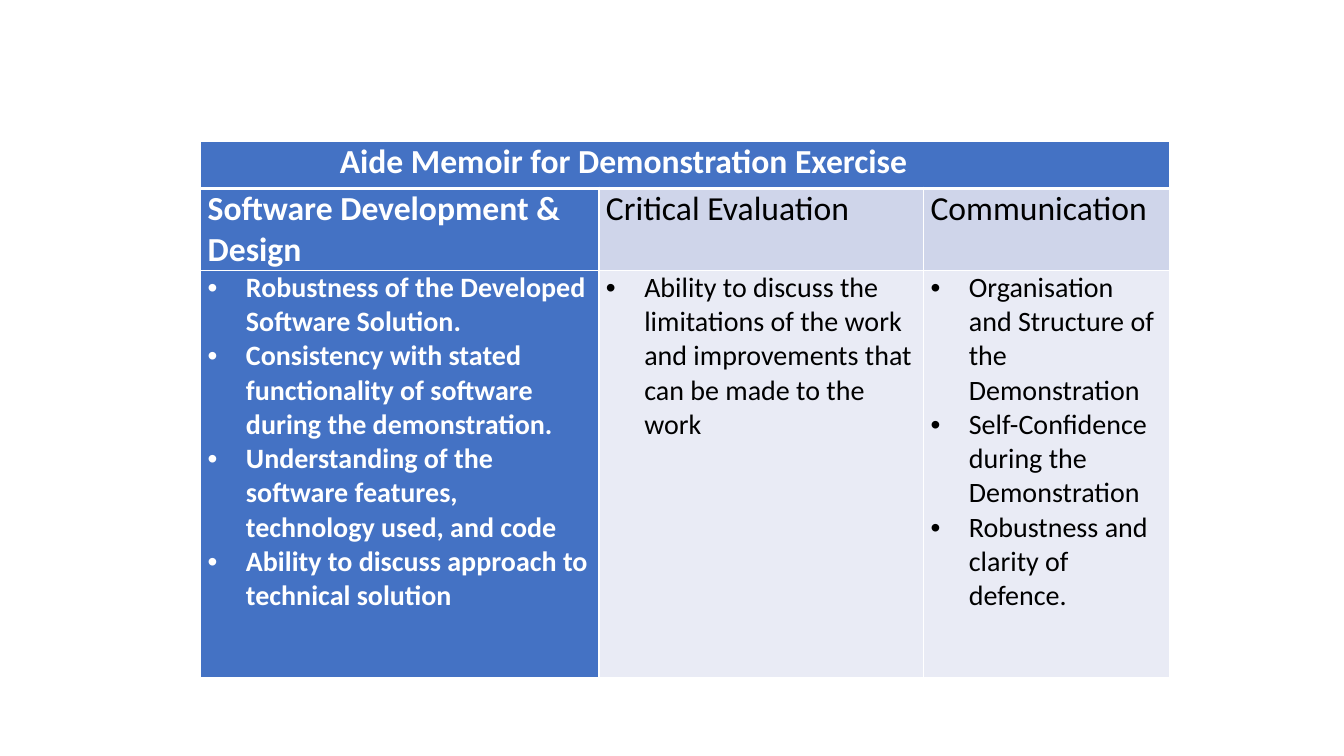
from dataclasses import dataclass

import pptx
import pptx.dml.color
import pptx.enum.text
import pptx.oxml
import pptx.oxml.ns
import pptx.table
import pptx.util
from lxml import etree

Inches = pptx.util.Inches
Pt = pptx.util.Pt


@dataclass(frozen=True)
class Theme:
    font: str = "Calibri"
    heading_size: int = 24
    body_size: int = 20
    accent: str = "4472C4"
    heading_band: str = "CFD5EA"
    body_band: str = "E9EBF5"
    light: str = "FFFFFF"
    dark: str = "000000"
    rule: float = 1
    title_rule: float = 3


@dataclass(frozen=True)
class Criterion:
    heading: str
    points: tuple[str, ...]
    width: float
    emphasised: bool = False


THEME = Theme()
TITLE = "Aide Memoir for Demonstration Exercise"
TABLE_LEFT, TABLE_TOP = 1.99, 1.4
ROW_HEIGHTS = (0.47, 0.8, 4.04)
CELL_MARGIN = 0.07
TITLE_RIGHT_MARGIN = 1.29
BULLET_INDENT = 0.38

CRITERIA = (
    Criterion(
        "Software Development & Design",
        (
            "Robustness of the Developed Software Solution.",
            "Consistency with stated functionality of software during the demonstration.",
            "Understanding of the software features, technology used, and code",
            "Ability to discuss approach to technical solution",
        ),
        3.95,
        emphasised=True,
    ),
    Criterion(
        "Critical Evaluation",
        ("Ability to discuss the limitations of the work and improvements "
         "that can be made to the work",),
        3.22,
    ),
    Criterion(
        "Communication",
        (
            "Organisation and Structure of the Demonstration",
            "Self-Confidence during the Demonstration",
            "Robustness and clarity of defence.",
        ),
        2.44,
    ),
)


def set_borders(cell: pptx.table._Cell, top: float, bottom: float) -> None:
    """Rule all four sides; call before filling, since lines precede the fill."""
    properties = cell._tc.get_or_add_tcPr()
    widths = {"lnL": THEME.rule, "lnR": THEME.rule, "lnT": top, "lnB": bottom}
    for side, width in widths.items():
        line = etree.SubElement(properties, pptx.oxml.ns.qn(f"a:{side}"), w=str(Pt(width)))
        fill = etree.SubElement(line, pptx.oxml.ns.qn("a:solidFill"))
        etree.SubElement(fill, pptx.oxml.ns.qn("a:srgbClr"), val=THEME.light)


def add_bullet(para) -> None:
    properties = para._p.get_or_add_pPr()
    properties.set("marL", str(Inches(BULLET_INDENT)))
    properties.set("indent", str(-Inches(BULLET_INDENT)))
    etree.SubElement(properties, pptx.oxml.ns.qn("a:buFont"), typeface="Arial")
    etree.SubElement(properties, pptx.oxml.ns.qn("a:buChar"), char="•")


def write_cell(
    cell: pptx.table._Cell,
    lines: tuple[str, ...],
    *,
    size: int,
    fill: str,
    emphasised: bool,
    bulleted: bool = False,
    centred: bool = False,
    right_margin: float = CELL_MARGIN,
) -> None:
    cell.margin_left, cell.margin_right = Inches(CELL_MARGIN), Inches(right_margin)
    cell.margin_top = cell.margin_bottom = 0
    cell.fill.solid()
    cell.fill.fore_color.rgb = pptx.dml.color.RGBColor.from_string(fill)
    colour = THEME.light if emphasised else THEME.dark
    for index, text in enumerate(lines):
        para = cell.text_frame.add_paragraph() if index else cell.text_frame.paragraphs[0]
        if centred:
            para.alignment = pptx.enum.text.PP_ALIGN.CENTER
        if bulleted:
            add_bullet(para)
        span = para.add_run()
        span.text = text
        span.font.name = THEME.font
        span.font.size = Pt(size)
        span.font.bold = emphasised
        span.font.color.rgb = pptx.dml.color.RGBColor.from_string(colour)


def add_criteria_table(page) -> None:
    frame = page.shapes.add_table(
        len(ROW_HEIGHTS), len(CRITERIA), Inches(TABLE_LEFT), Inches(TABLE_TOP),
        Inches(sum(item.width for item in CRITERIA)), Inches(sum(ROW_HEIGHTS)),
    )
    table = frame.table
    for row, height in zip(table.rows, ROW_HEIGHTS):
        row.height = Inches(height)
    for row_index in range(len(ROW_HEIGHTS)):
        for column_index in range(len(CRITERIA)):
            set_borders(
                table.cell(row_index, column_index),
                top=THEME.title_rule if row_index == 1 else THEME.rule,
                bottom=THEME.title_rule if row_index == 0 else THEME.rule,
            )

    title = table.cell(0, 0)
    title.merge(table.cell(0, len(CRITERIA) - 1))
    write_cell(title, (TITLE,), size=THEME.heading_size, fill=THEME.accent,
               emphasised=True, centred=True, right_margin=TITLE_RIGHT_MARGIN)

    for index, item in enumerate(CRITERIA):
        table.columns[index].width = Inches(item.width)
        write_cell(table.cell(1, index), (item.heading,), size=THEME.heading_size,
                   fill=THEME.accent if item.emphasised else THEME.heading_band,
                   emphasised=item.emphasised)
        write_cell(table.cell(2, index), item.points, size=THEME.body_size,
                   fill=THEME.accent if item.emphasised else THEME.body_band,
                   emphasised=item.emphasised, bulleted=True)


def main() -> None:
    deck = pptx.Presentation()
    deck.slide_width, deck.slide_height = Inches(13.33), Inches(7.5)
    page = deck.slides.add_slide(deck.slide_layouts.get_by_name("Blank"))
    add_criteria_table(page)
    deck.save("out.pptx")


if __name__ == "__main__":
    main()
